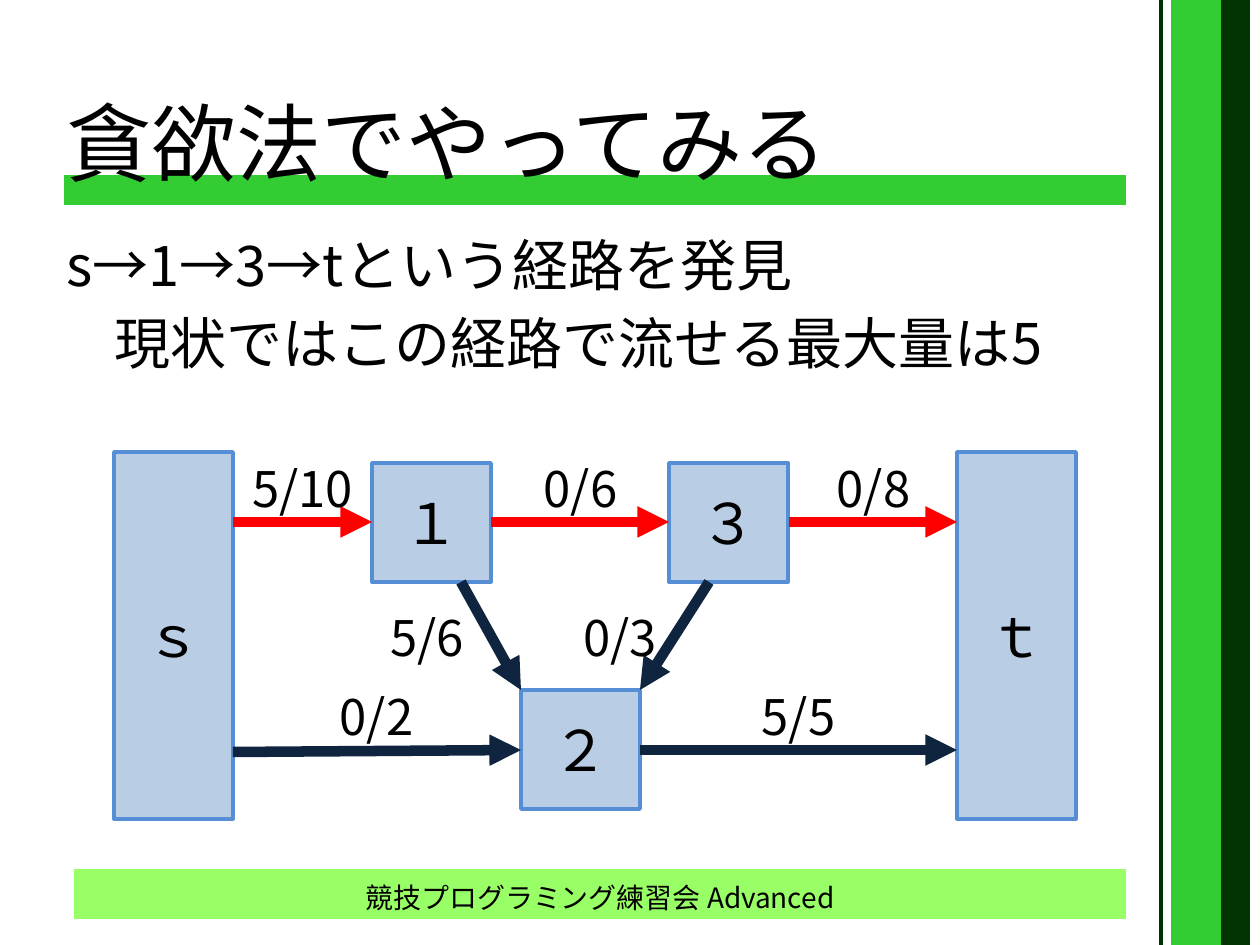
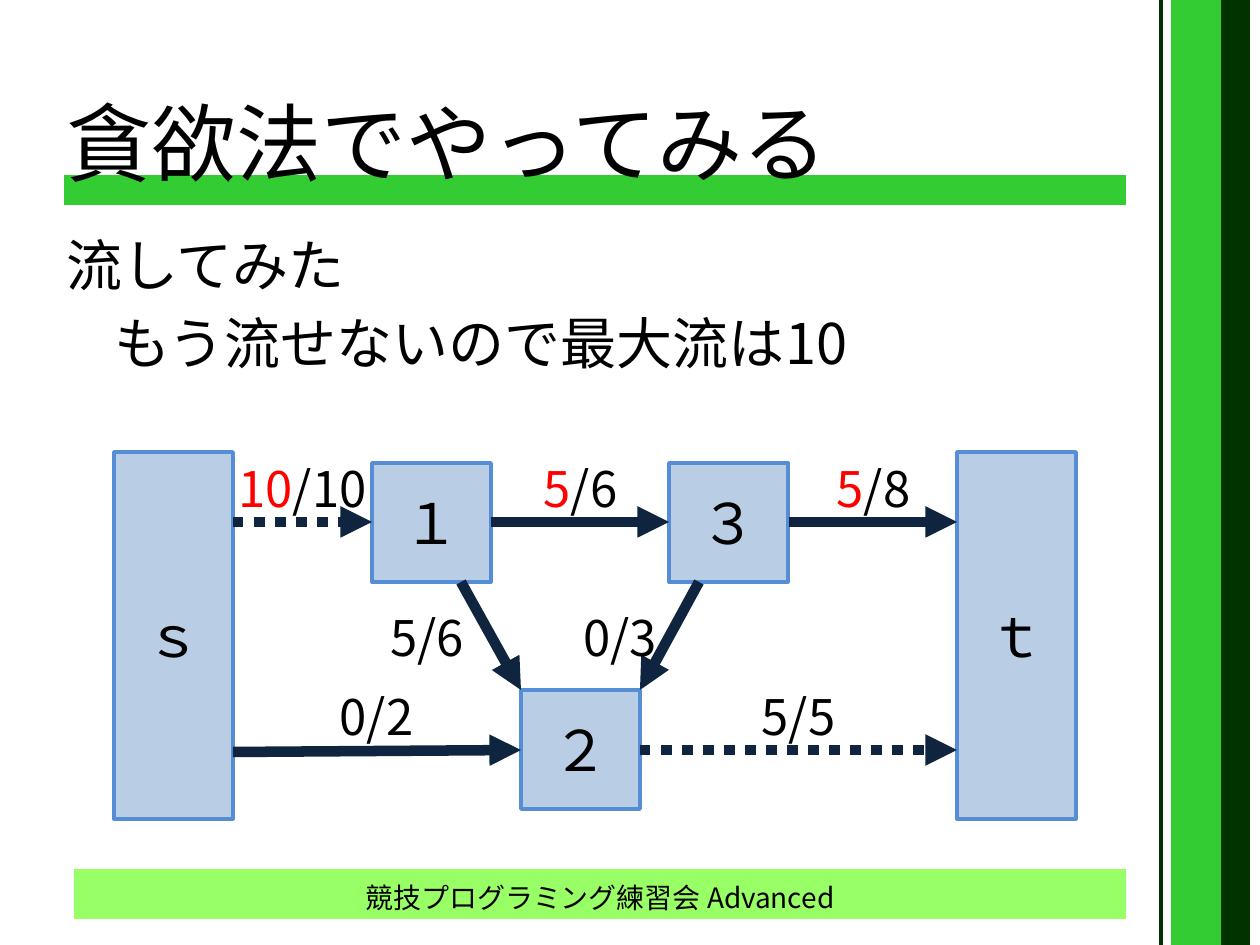
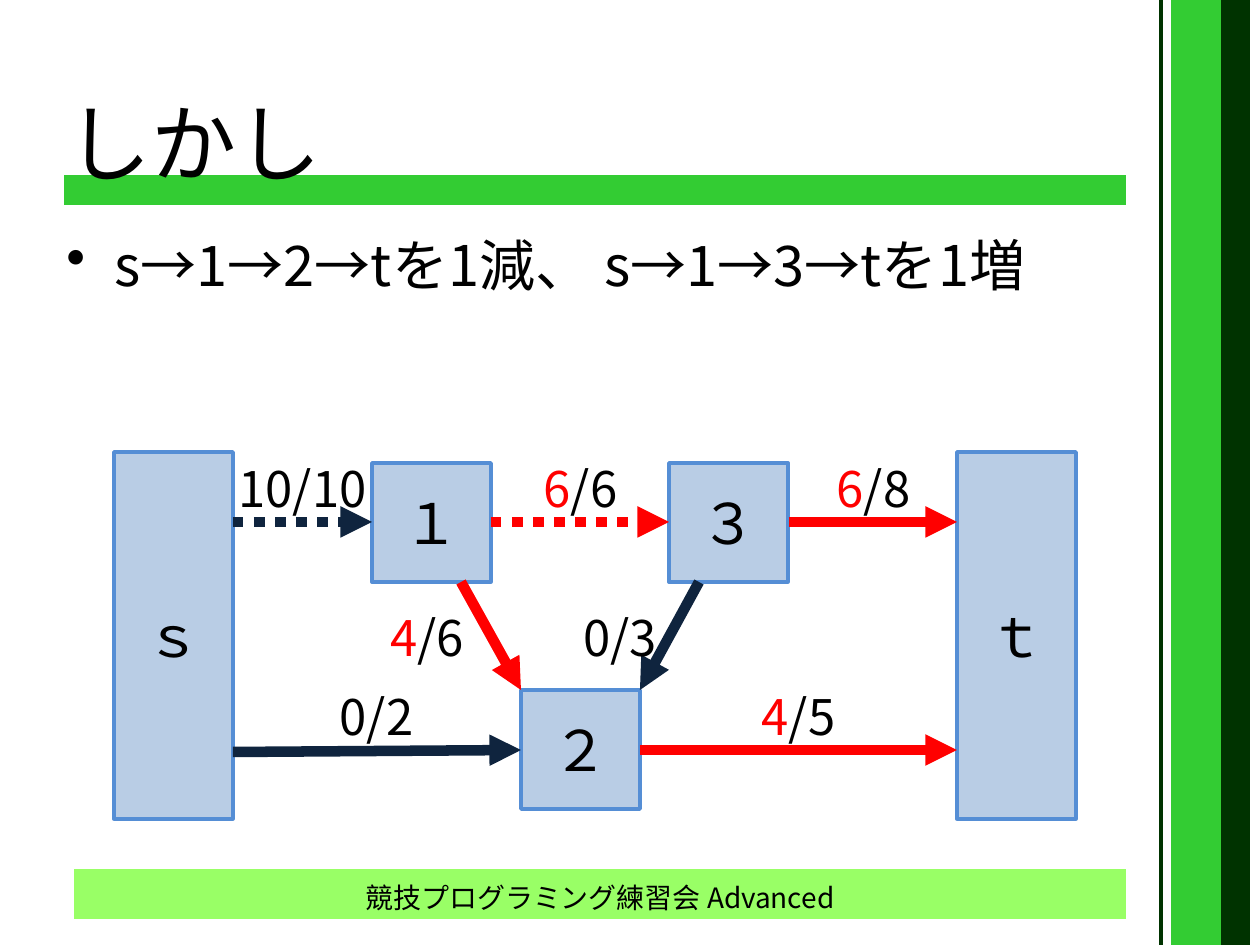
import lxml.etree
import pptx
import pptx.util
import pptx.dml.color
import pptx.enum.dml
import pptx.enum.shapes
import pptx.enum.text
import pptx.oxml.ns

RGB = pptx.dml.color.RGBColor
BLACK = RGB(0x00, 0x00, 0x00)
RED = RGB(0xFF, 0x00, 0x00)
NAVY = RGB(0x0F, 0x24, 0x3E)
GREEN = RGB(0x33, 0xCC, 0x33)
LIME = RGB(0x99, 0xFF, 0x66)
DARK = RGB(0x00, 0x33, 0x00)
PALE = RGB(0xB9, 0xCD, 0xE5)
BLUE = RGB(0x55, 0x8E, 0xD5)
FONT = "Noto Sans CJK JP"
FOOTER = "競技プログラミング練習会 Advanced"

Pt = pptx.util.Pt
qn = pptx.oxml.ns.qn
SHAPE = pptx.enum.shapes.MSO_SHAPE
STRAIGHT = pptx.enum.shapes.MSO_CONNECTOR.STRAIGHT
ALIGN = pptx.enum.text.PP_ALIGN
MIDDLE = pptx.enum.text.MSO_ANCHOR.MIDDLE
FIT = pptx.enum.text.MSO_AUTO_SIZE
DOTS = pptx.enum.dml.MSO_LINE.ROUND_DOT


def px(*nums):
    """Turn pixels (126 to the inch) into EMU."""
    return [round(num * 914400 / 126) for num in nums]


def style(shape, size, align):
    """Give every paragraph of the shape the deck's font."""
    for par in shape.text_frame.paragraphs:
        par.alignment = align
        par.font.size = Pt(size)
        par.font.color.rgb = BLACK
        par.font.name = FONT
    for props in shape.element.iter(qn("a:defRPr")):
        lxml.etree.SubElement(props, qn("a:ea"), typeface=FONT)


# kind, place, fill
BANDS = [
    (SHAPE.PARALLELOGRAM, (74, 869, 1052, 50), LIME),
    (SHAPE.RECTANGLE, (1171, 0, 79, 945), GREEN),
    (SHAPE.PARALLELOGRAM, (64, 175, 1062, 30), GREEN),
    (SHAPE.RECTANGLE, (1221, 0, 29, 945), DARK),
]

SIDE = 119
# name, left, top, height
NODES = [
    ("ｓ", 114, 452, 367),
    ("ｔ", 957, 452, 367),
    ("１", 372, 463, SIDE),
    ("２", 521, 690, SIDE),
    ("３", 669, 463, SIDE),
]

# ends of the arrow, left, top and width of its label, capacity
EDGES = {
    "s1": ((233, 522, 372, 522), (233, 452, 139), 10),
    "s2": ((233, 752, 521, 750), (233, 680, 287), 2),
    "13": ((491, 522, 669, 522), (491, 452, 179), 6),
    "3t": ((789, 522, 957, 522), (789, 452, 169), 8),
    "2t": ((640, 750, 957, 750), (640, 680, 317), 5),
    "12": ((461, 582, 521, 690), (372, 601, 110), 6),
    "32": ((699, 582, 640, 690), (571, 601, 110), 3),
}

# title, body lines, bullet, flows, red arrows, dotted arrows, red flows
SLIDES = [
    ("貪欲法でやってみる",
     ["s→1→3→tという経路を発見", "現状ではこの経路で流せる最大量は5"], False,
     {"s1": 5, "2t": 5, "12": 5}, ["s1", "13", "3t"], [], []),
    ("貪欲法でやってみる",
     ["流してみた", "もう流せないので最大流は10"], False,
     {"s1": 10, "13": 5, "3t": 5, "2t": 5, "12": 5},
     [], ["s1", "2t"], ["s1", "13", "3t"]),
    ("しかし",
     ["s→1→2→tを1減、 s→1→3→tを1増"], True,
     {"s1": 10, "13": 6, "3t": 6, "2t": 4, "12": 4},
     ["13", "3t", "2t", "12"], ["s1", "13"], ["13", "3t", "2t", "12"]),
]

deck = pptx.Presentation()
deck.slide_width, deck.slide_height = px(1260, 945)

for num, (head, lines, bullet, flows, hot, full, fresh) in enumerate(SLIDES):
    slide = deck.slides.add_slide(deck.slide_layouts[5])
    shapes = slide.shapes

    for kind, place, fill in BANDS:
        band = shapes.add_shape(kind, *px(*place))
        if kind == SHAPE.PARALLELOGRAM:
            band.adjustments[0] = 0
        band.shadow.inherit = False
        band.fill.solid()
        band.fill.fore_color.rgb = fill
        band.line.fill.background()
    rule = shapes.add_connector(STRAIGHT, *px(1161, 0, 1161, 945))
    rule.line.color.rgb = DARK
    rule.line.width = Pt(2.25)
    lxml.etree.SubElement(rule.element.spPr, qn("a:effectLst"))

    # The title stands in front of the green band.
    title = shapes.title
    shapes.element.append(title.element)
    title.left, title.top, title.width, title.height = px(54, 86, 1260, 110)
    title.text_frame.text = head
    title.text_frame.auto_size = FIT.NONE
    title.text_frame.vertical_anchor = MIDDLE
    style(title, 48.6, ALIGN.LEFT)

    body = shapes.add_textbox(*px(54, 224, 1144, 624))
    body.text_frame.word_wrap = True
    body.text_frame.text = "\n".join(lines)
    style(body, 32, ALIGN.LEFT)
    indent = px(48)[0]
    for row, par in enumerate(body.text_frame.paragraphs):
        par.space_before = Pt(6.4)
        props = par._p.get_or_add_pPr()
        props.set("marL", str(indent))
        props.set("indent", str(0 if row else -indent))
        if bullet:
            mark = lxml.etree.Element(qn("a:buChar"), char="•")
            props.find(qn("a:defRPr")).addprevious(mark)

    foot = shapes.add_textbox(*px(74, 869, 1052, 57))
    foot.text_frame.word_wrap = True
    foot.text_frame.text = FOOTER
    foot.text_frame.vertical_anchor = MIDDLE
    style(foot, 16, ALIGN.CENTER)

    for name, left, top, height in NODES:
        node = shapes.add_shape(SHAPE.RECTANGLE, *px(left, top, SIDE, height))
        node.shadow.inherit = False
        node.fill.solid()
        node.fill.fore_color.rgb = PALE
        node.line.color.rgb = BLUE
        node.line.width = Pt(2)
        node.text_frame.text = name
        node.text_frame.vertical_anchor = MIDDLE
        style(node, 32, ALIGN.CENTER)

    for edge, (ends, (left, top, width), most) in EDGES.items():
        if edge == "32" and num == 0:
            ends = (709, *ends[1:])
        arrow = shapes.add_connector(STRAIGHT, *px(*ends))
        arrow.line.color.rgb = RED if edge in hot else NAVY
        arrow.line.width = Pt(6)
        if edge in full:
            arrow.line.dash_style = DOTS
        props = arrow.element.spPr
        lxml.etree.SubElement(props.find(qn("a:ln")), qn("a:tailEnd"), type="triangle")
        lxml.etree.SubElement(props, qn("a:effectLst"))

        flow = flows.get(edge, 0)
        extra = 10 if flow == 10 else 0
        label = shapes.add_textbox(*px(left - extra, top, width + 2 * extra, 72))
        label.text_frame.word_wrap = True
        label.text_frame.auto_size = FIT.SHAPE_TO_FIT_TEXT
        par = label.text_frame.paragraphs[0]
        if edge in fresh:
            run = par.add_run()
            run.text = str(flow)
            run.font.color.rgb = RED
            par.add_run().text = f"/{most}"
        else:
            par.text = f"{flow}/{most}"
        style(label, 28, ALIGN.LEFT if edge == "32" else ALIGN.CENTER)

deck.save("out.pptx")
